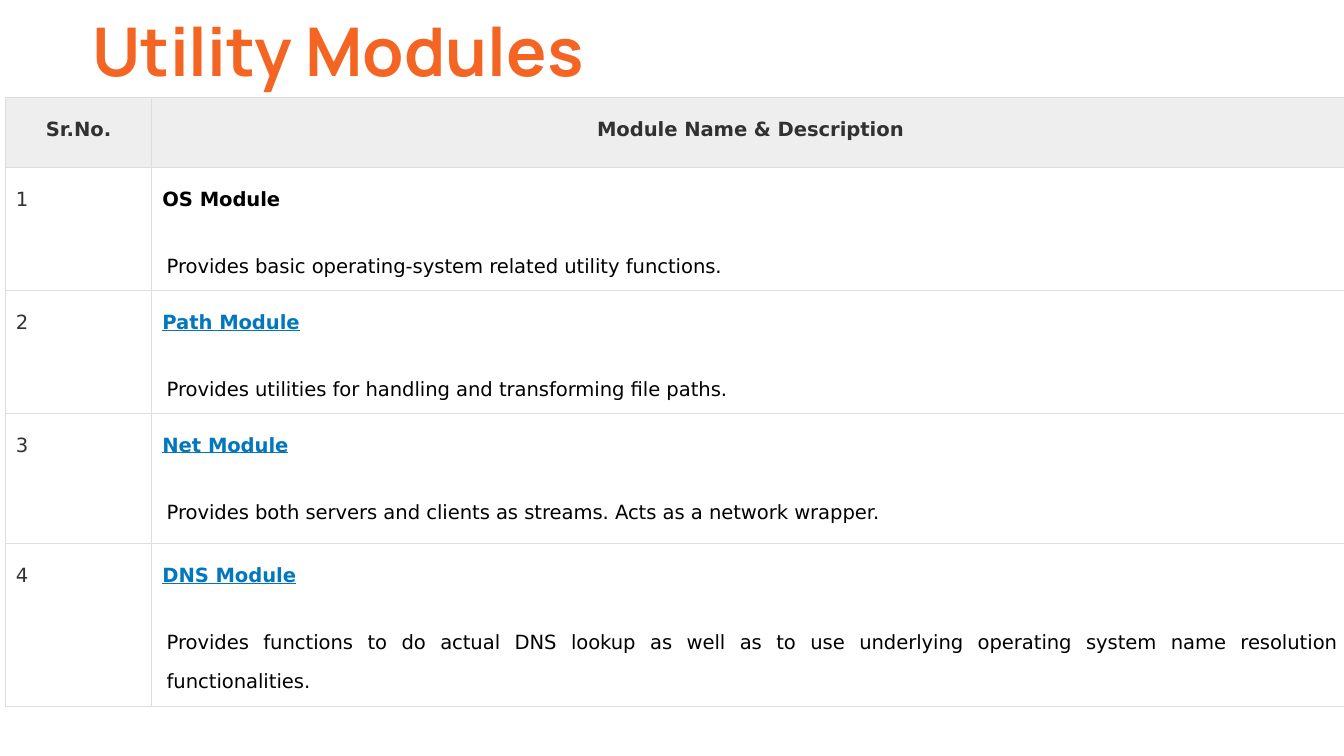
from lxml.etree import SubElement
from pptx import Presentation
from pptx.dml.color import RGBColor
from pptx.enum.text import MSO_ANCHOR, PP_ALIGN
from pptx.oxml.ns import qn
from pptx.util import Cm, Pt

ORANGE = RGBColor(0xF4, 0x65, 0x24)
BLACK = RGBColor(0x00, 0x00, 0x00)
DARK = RGBColor(0x31, 0x31, 0x31)
BLUE = RGBColor(0x02, 0x77, 0xBD)
PALE = RGBColor(0xEE, 0xEE, 0xEE)
EDGE = RGBColor(0xDD, 0xDD, 0xDD)

HEADS = ["Sr.No.", "Module Name & Description"]
ITEMS = [
    ("OS Module", "Provides basic operating-system related utility functions.", 1.83),
    ("Path Module", "Provides utilities for handling and transforming file paths.", 1.83),
    ("Net Module", "Provides both servers and clients as streams. "
     "Acts as a network wrapper.", 2.46),
    ("DNS Module", "Provides functions to do actual DNS lookup as well as to use "
     "underlying operating system name resolution functionalities.", 2.46),
]


def style(para, color, bold=False, size=10.5, face="DejaVu Sans"):
    font = para.runs[0].font
    font.name, font.size, font.bold = face, Pt(size), bold
    font.color.rgb = color
    return font


def space(para, line, before=0, after=0):
    para.line_spacing = line
    para.space_before = Pt(before)
    para.space_after = Pt(after)


def add_title(slide, box):
    frame = slide.shapes.add_textbox(*box).text_frame
    frame.word_wrap = True
    frame.vertical_anchor = MSO_ANCHOR.MIDDLE
    frame.margin_left = frame.margin_right = Cm(0.25)
    frame.margin_top = frame.margin_bottom = Cm(0.25)
    frame.text = "Utility Modules"
    style(frame.paragraphs[0], ORANGE, True, 36, "Manrope")


def set_cell(cell, fill=None):
    cell.margin_left = cell.margin_right = Cm(0.2)
    cell.margin_top = cell.margin_bottom = Cm(0.2)
    props = cell._tc.get_or_add_tcPr()
    for side in ("lnL", "lnR", "lnT", "lnB"):
        line = SubElement(props, qn(f"a:{side}"), w=str(Pt(0.75)))
        paint = SubElement(line, qn("a:solidFill"))
        SubElement(paint, qn("a:srgbClr"), val=str(EDGE))
    if fill is None:
        cell.fill.background()
    else:
        cell.fill.solid()
        cell.fill.fore_color.rgb = fill


def fill_head(cell, text):
    set_cell(cell, PALE)
    cell.text_frame.text = text
    para = cell.text_frame.paragraphs[0]
    para.alignment = PP_ALIGN.CENTER
    space(para, 1.43, after=15)
    style(para, DARK, True)


def fill_index(cell, index):
    set_cell(cell)
    cell.text_frame.text = str(index)
    para = cell.text_frame.paragraphs[0]
    space(para, 1.43, after=15)
    style(para, DARK)


def fill_module(cell, name, about, linked):
    set_cell(cell)
    frame = cell.text_frame
    frame.text = name
    head = frame.paragraphs[0]
    space(head, 1.43)
    style(head, BLUE if linked else BLACK, True).underline = linked
    body = frame.add_paragraph()
    body.text = about
    body.alignment = PP_ALIGN.JUSTIFY
    props = body._p.get_or_add_pPr()
    props.set("marL", str(Cm(0.08)))
    props.set("indent", "0")
    space(body, 1.71, 15, 6)
    style(body, BLACK)


def add_modules(slide, box):
    left, top, width, height = box
    table = slide.shapes.add_table(len(ITEMS) + 1, 2, left, top, width, height).table
    table.horz_banding = False
    table.columns[0].width = Cm(2.77)
    table.columns[1].width = width - Cm(2.77)
    table.rows[0].height = Cm(1.32)
    for col, text in enumerate(HEADS):
        fill_head(table.cell(0, col), text)
    for index, (name, about, tall) in enumerate(ITEMS, 1):
        table.rows[index].height = Cm(tall)
        fill_index(table.cell(index, 0), index)
        fill_module(table.cell(index, 1), name, about, index > 1)


def main():
    deck = Presentation()
    deck.slide_width, deck.slide_height = Cm(25.4), Cm(14.29)
    slide = deck.slides.add_slide(deck.slide_layouts[6])
    add_title(slide, (Cm(1.5), Cm(-0.13), Cm(14.43), Cm(2.13)))
    add_modules(slide, (Cm(0.1), Cm(1.85), Cm(25.4), Cm(9.9)))
    deck.save("out.pptx")


if __name__ == "__main__":
    main()
